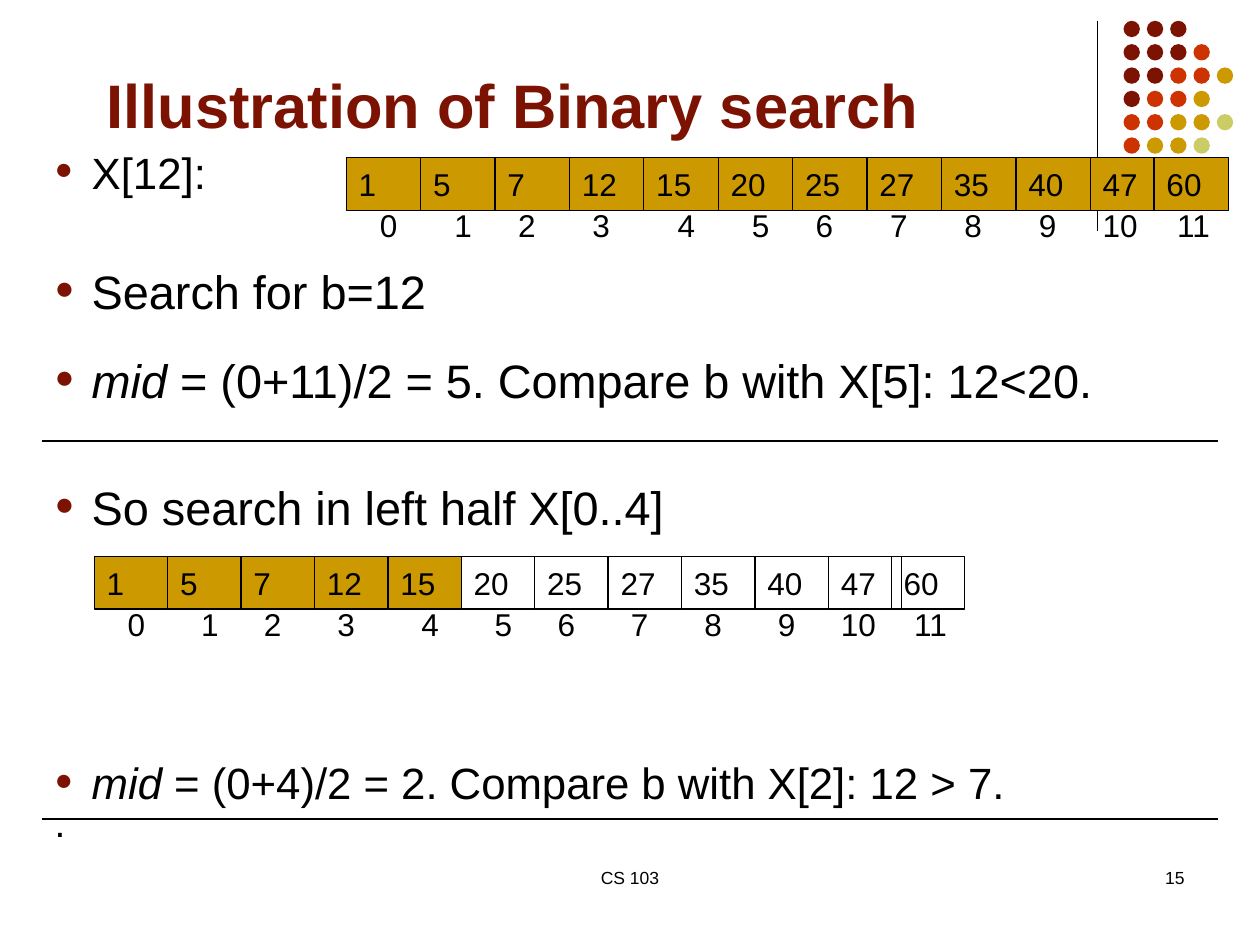
"""Build the slide that illustrates binary search on a twelve-element array."""
from lxml import etree
from pptx import Presentation
from pptx.dml.color import RGBColor
from pptx.enum.shapes import MSO_CONNECTOR, MSO_SHAPE
from pptx.enum.text import MSO_ANCHOR, PP_ALIGN
from pptx.oxml.ns import qn
from pptx.util import Cm, Pt

LINE, RECT, OVAL = MSO_CONNECTOR.STRAIGHT, MSO_SHAPE.RECTANGLE, MSO_SHAPE.OVAL
LEFT, CENTER, RIGHT = PP_ALIGN.LEFT, PP_ALIGN.CENTER, PP_ALIGN.RIGHT
TOP, MIDDLE, BOTTOM = MSO_ANCHOR.TOP, MSO_ANCHOR.MIDDLE, MSO_ANCHOR.BOTTOM
BLACK = RGBColor(0x00, 0x00, 0x00)
MAROON = RGBColor(0x7C, 0x13, 0x02)
RED = RGBColor(0xCC, 0x33, 0x00)
GOLD = RGBColor(0xCC, 0x99, 0x00)
OLIVE = RGBColor(0xCC, 0xCC, 0x66)
FONT = "Arial"

TITLE = "Illustration of Binary search"
BODY = [
    (4.5, 25, True, [("X[12]:", False)]),
    (49.6, 26.8, True, [("Search for b=12", False)]),
    (31.8, 26.8, True, [("mid", True), (" = (0+11)/2 = 5. Compare b with X[5]: 12<20.", False)]),
    (53.5, 26.8, True, [("So search in left half X[0..4]", False)]),
    (138.2, 25, True, [("mid", True), (" = (0+4)/2 = 2. Compare b with X[2]: 12 > 7.", False)]),
    (5.3, 22.2, False, [(".", False)]),
]
FOOTERS = [("CS 103", 8.68, 8.04, CENTER), ("15", 18.2, 5.93, RIGHT)]
VALUES = [1, 5, 7, 12, 15, 20, 25, 27, 35, 40, 47, 60]
INDEX_SHIFTS = [2, 2, 1, 1, 2, 2, 1, 1, 1, 1, 0, 0]
ARRAYS = [
    {"left": 6.98, "top": 3.18, "cell": 1.5, "active": 12},
    {"left": 1.9, "top": 11.22, "cell": 1.48, "active": 5},
]
DOT_COLORS = {"M": MAROON, "R": RED, "G": GOLD, "O": OLIVE}
DOT_ROWS = ["MMM", "MMMR", "MMRRG", "MRRG", "RRGGO", "RGGO"]
DOT_LEFT, DOT_TOP, DOT_GAP, DOT_SIZE = 22.65, 0.42, 0.47, 0.33
RULES = [(0.85, 8.89, 24.55, 8.89), (0.85, 16.51, 24.55, 16.51)]
DIVIDER = (22.12, 0.42, 22.12, 4.66)


def add_run(p, text, size, color=BLACK, bold=False, italic=False):
    r = p.add_run()
    r.text = text
    f = r.font
    f.name, f.size, f.bold, f.italic = FONT, Pt(size), bold, italic
    f.color.rgb = color


def add_text(shapes, box, text, size, align=LEFT):
    tf = shapes.add_textbox(*map(Cm, box)).text_frame
    tf.word_wrap = True
    p = tf.paragraphs[0]
    p.alignment = align
    add_run(p, text, size)


def add_shape(shapes, kind, box, fill=None, line=None):
    sp = shapes.add_shape(kind, *map(Cm, box))
    sp.shadow.inherit = False
    if fill is None:
        sp.fill.background()
    else:
        sp.fill.solid()
        sp.fill.fore_color.rgb = fill
    if line is None:
        sp.line.fill.background()
    else:
        sp.line.color.rgb = line
        sp.line.width = Pt(0.75)
    return sp


def add_line(shapes, ends):
    c = shapes.add_connector(LINE, *map(Cm, ends))
    c.line.color.rgb = BLACK
    c.line.width = Pt(0.75)
    etree.SubElement(c._element.spPr, qn("a:effectLst"))


def add_dots(shapes):
    group = shapes.add_group_shape().shapes
    for i, row in enumerate(DOT_ROWS):
        for j, key in enumerate(row):
            box = (DOT_LEFT + j * DOT_GAP, DOT_TOP + i * DOT_GAP, DOT_SIZE, DOT_SIZE)
            add_shape(group, OVAL, box, DOT_COLORS[key])


def add_title(s):
    title = s.shapes.title
    title.left, title.top, title.width, title.height = map(Cm, (1.9, 1.27, 21.59, 1.7))
    tf = title.text_frame
    tf.vertical_anchor = BOTTOM
    p = tf.paragraphs[0]
    p.alignment = LEFT
    add_run(p, TITLE, 35.1, MAROON, bold=True)


def add_bullet(pPr):
    color = etree.SubElement(pPr, qn("a:buClr"))
    etree.SubElement(color, qn("a:srgbClr"), val=str(MAROON))
    etree.SubElement(pPr, qn("a:buSzPct"), val="70000")
    etree.SubElement(pPr, qn("a:buFont"), typeface=FONT)
    etree.SubElement(pPr, qn("a:buChar"), char="●")


def add_body(shapes):
    tf = shapes.add_textbox(*map(Cm, (0.85, 3.18, 24.55, 14.82))).text_frame
    tf.word_wrap = True
    tf.vertical_anchor = TOP
    for i, (before, size, bullet, runs) in enumerate(BODY):
        p = tf.add_paragraph() if i else tf.paragraphs[0]
        p.line_spacing = 0.6
        p.space_before = Pt(before)
        pPr = p._p.get_or_add_pPr()
        pPr.set("marL", str(Cm(0.75)))
        pPr.set("indent", str(-Cm(0.75)))
        if bullet:
            add_bullet(pPr)
        for text, italic in runs:
            add_run(p, text, size, italic=italic)


def add_array(shapes, left, top, cell, active):
    group = shapes.add_group_shape().shapes
    step = cell / 7
    last = len(VALUES) - 1
    for i, (value, shift) in enumerate(zip(VALUES, INDEX_SHIFTS)):
        x = left + i * cell
        cell_x = x - step if i == last else x
        fill = GOLD if i < active else None
        sp = add_shape(group, RECT, (cell_x, top, cell, 1.06), fill, BLACK)
        tf = sp.text_frame
        tf.word_wrap = False
        tf.vertical_anchor = MIDDLE
        p = tf.paragraphs[0]
        p.alignment = LEFT
        add_run(p, str(value), 18)
        width = 0.94 if i < 10 else 1.7
        add_text(group, (x + shift * step, top + 0.85, width, 1.27), str(i), 18)


def main():
    prs = Presentation()
    prs.slide_width, prs.slide_height = Cm(25.4), Cm(19.05)
    s = prs.slides.add_slide(prs.slide_layouts[5])
    add_line(s.shapes, DIVIDER)
    add_dots(s.shapes)
    add_title(s)
    for text, left, width, align in FOOTERS:
        add_text(s.shapes, (left, 17.36, width, 1.27), text, 10, align)
    add_body(s.shapes)
    for array in ARRAYS:
        add_array(s.shapes, **array)
    for rule in RULES:
        add_line(s.shapes, rule)
    prs.save("out.pptx")


if __name__ == "__main__":
    main()
